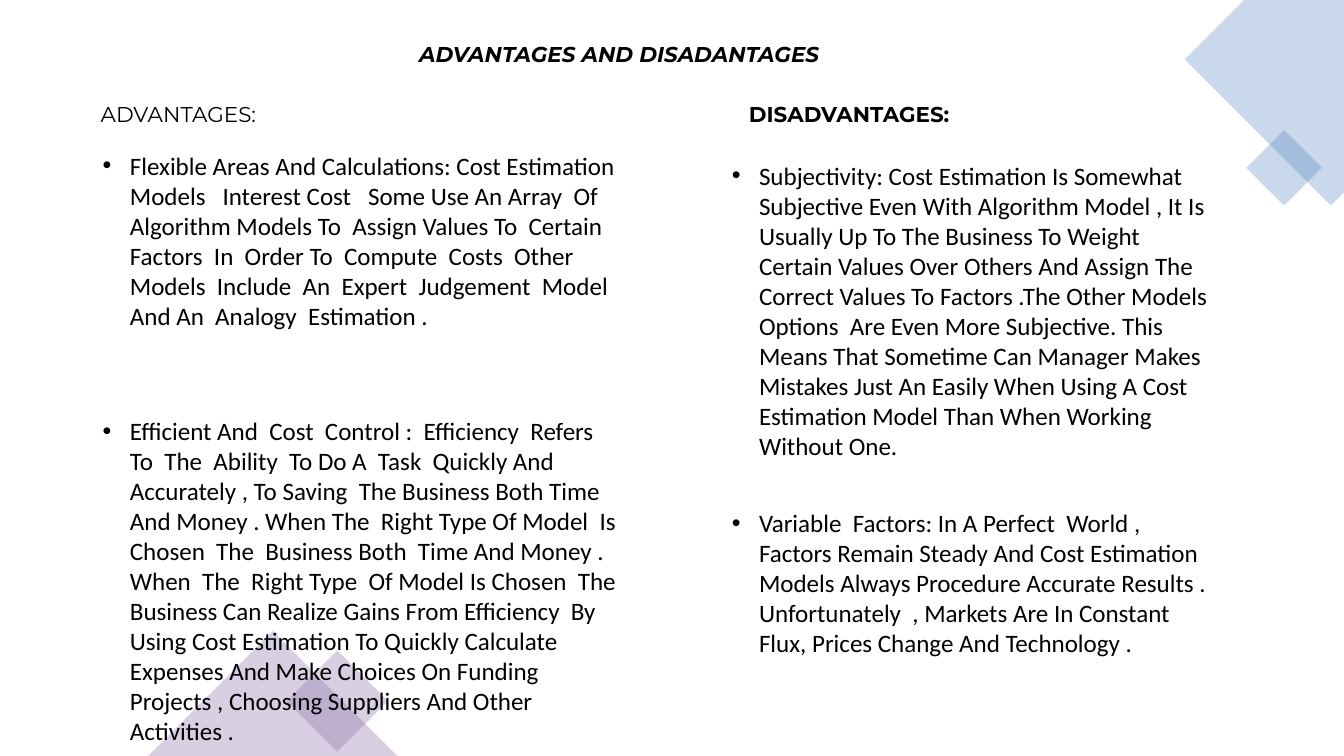
from lxml.etree import SubElement
from pptx import Presentation
from pptx.dml.color import RGBColor
from pptx.enum.shapes import MSO_SHAPE
from pptx.oxml.ns import qn
from pptx.util import Inches, Pt

BLUE = "4F81BD"
PURPLE = "8064A2"
CORNER = [(13.33, 0), (12.34, 0), (11.75, 0.59), (13.2, 2.04), (13.33, 1.91)]
ADVANTAGES = [
    "Flexible Areas And Calculations: Cost Estimation Models   Interest Cost   Some Use An Array  Of   "
    "Algorithm Models To  Assign Values To  Certain  Factors  In  Order To  Compute  Costs  Other  Models  "
    "Include  An  Expert  Judgement  Model  And An  Analogy  Estimation .",
    "Efficient And  Cost  Control :  Efficiency  Refers  To  The  Ability  To Do A  Task  Quickly And "
    "Accurately , To Saving  The Business Both Time And Money . When The  Right Type Of Model  Is Chosen  "
    "The  Business Both  Time And Money . When  The  Right Type  Of Model Is Chosen  The Business Can "
    "Realize Gains From Efficiency  By Using Cost Estimation To Quickly Calculate Expenses And Make "
    "Choices On Funding Projects , Choosing Suppliers And Other Activities .",
]
DISADVANTAGES = [
    "Subjectivity: Cost Estimation Is Somewhat Subjective Even With Algorithm Model , It Is Usually Up To "
    "The Business To Weight Certain Values Over Others And Assign The Correct Values To Factors .The Other "
    "Models  Options  Are Even More Subjective. This Means That Sometime Can Manager Makes Mistakes Just "
    "An Easily When Using A Cost Estimation Model Than When Working Without One.",
    "Variable  Factors: In A Perfect  World ,  Factors Remain Steady And Cost Estimation Models Always "
    "Procedure Accurate Results . Unfortunately  , Markets Are In Constant Flux, Prices Change And "
    "Technology .",
]


def color(value):
    """Return the colour for a hex string."""
    return RGBColor.from_string(value)


def paint(shape, fill):
    """Give a decoration a 30 % opaque fill without line or shadow."""
    shape.shadow.inherit = False
    shape.line.fill.background()
    shape.fill.solid()
    shape.fill.fore_color.rgb = color(fill)
    fill_color = shape.fill._xPr.find(qn("a:solidFill"))[0]
    SubElement(fill_color, qn("a:alpha"), val="30000")


def add_corner(slide, points, fill):
    """Draw the diamond cut off by the slide corner."""
    outline = [(Inches(x), Inches(y)) for x, y in points]
    builder = slide.shapes.build_freeform(*outline[0])
    builder.add_line_segments(outline[1:], close=True)
    paint(builder.convert_to_shape(), fill)


def add_decoration(slide, kind, box, fill, rotation=0):
    """Draw a translucent preset shape."""
    shape = slide.shapes.add_shape(kind, *map(Inches, box))
    shape.rotation = rotation
    paint(shape, fill)


def add_text_frame(slide, box):
    """Add a wrapping text box and return its text frame."""
    frame = slide.shapes.add_textbox(*map(Inches, box)).text_frame
    frame.word_wrap = True
    return frame


def style(paragraph, name, size, bold=False, italic=False):
    """Set the font of a paragraph."""
    font = paragraph.font
    font.name, font.size = name, Pt(size)
    font.bold, font.italic = bold, italic
    font.color.rgb = color("000000")


def add_heading(slide, text, box, bold=False, italic=False):
    """Add a one-line heading."""
    paragraph = add_text_frame(slide, box).paragraphs[0]
    paragraph.text = text
    style(paragraph, "Montserrat", 15.3, bold, italic)


def add_bullets(slide, items, box, gap):
    """Add a bulleted list with a gap in points between items."""
    frame = add_text_frame(slide, box)
    for index, item in enumerate(items):
        paragraph = frame.paragraphs[0] if index == 0 else frame.add_paragraph()
        paragraph.text = item
        properties = paragraph._p.get_or_add_pPr()
        properties.set("marL", str(Inches(0.27)))
        properties.set("indent", str(Inches(-0.27)))
        SubElement(properties, qn("a:buFont"), typeface="Arial")
        SubElement(properties, qn("a:buChar"), char="•")
        if index:
            paragraph.space_before = Pt(gap)
        style(paragraph, "Calibri", 17.9)


def main():
    """Build the slide and save it."""
    presentation = Presentation()
    presentation.slide_width = Inches(13.33)
    presentation.slide_height = Inches(7.5)
    slide = presentation.slides.add_slide(presentation.slide_layouts[6])
    add_corner(slide, CORNER, BLUE)
    add_decoration(slide, MSO_SHAPE.RECTANGLE, (12.47, 1.4, 0.53, 0.53), BLUE, 45)
    add_decoration(slide, MSO_SHAPE.RECTANGLE, (2.99, 6.6, 0.71, 0.71), PURPLE, 45)
    add_decoration(slide, MSO_SHAPE.ISOSCELES_TRIANGLE, (1.47, 6.26, 2.47, 1.24), PURPLE)
    add_heading(slide, "ADVANTAGES AND DISADANTAGES", (4.06, 0.36, 7.06, 0.36), True, True)
    add_heading(slide, "ADVANTAGES:", (0.9, 0.95, 2.91, 0.36))
    add_bullets(slide, ADVANTAGES, (0.92, 1.44, 5.32, 7.15), 60.7)
    add_heading(slide, "DISADVANTAGES:", (7.33, 0.95, 4.11, 0.36), True)
    add_bullets(slide, DISADVANTAGES, (7.16, 1.54, 5.03, 5.09), 33.5)
    presentation.save("out.pptx")


if __name__ == "__main__":
    main()
